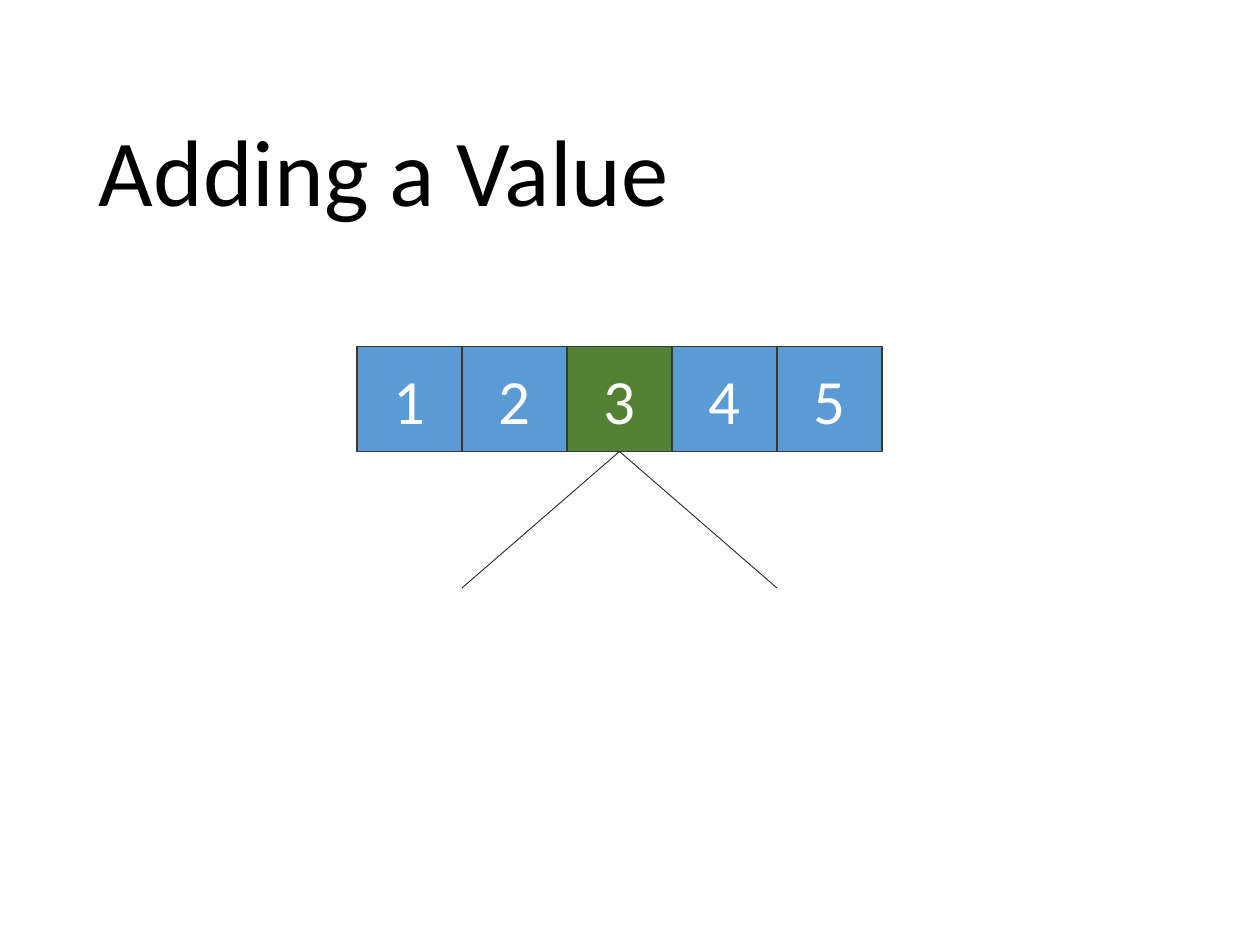
import pptx
import pptx.util
import pptx.dml.color
import pptx.enum.shapes
import pptx.enum.text
import pptx.oxml
import pptx.oxml.ns

Pt = pptx.util.Pt
ALIGN = pptx.enum.text.PP_ALIGN
ANCHOR = pptx.enum.text.MSO_ANCHOR

FONT = "Calibri"
COLORS = {
    "title": "000000",
    "cell": "5B9BD5",
    "middle": "548235",
    "outline": "3B3838",
    "branch": "262626",
    "value": "FFFFFF",
}


def rgb(name):
    return pptx.dml.color.RGBColor.from_string(COLORS[name])


def write_text(shape, text, *, size, color, align=ALIGN.LEFT,
               anchor=ANCHOR.MIDDLE, line_spacing=None):
    frame = shape.text_frame
    frame.word_wrap = True
    frame.vertical_anchor = anchor
    paragraph = frame.paragraphs[0]
    paragraph.alignment = align
    paragraph.line_spacing = line_spacing
    run = paragraph.add_run()
    run.text = text
    run.font.name = FONT
    run.font.size = Pt(size)
    run.font.color.rgb = rgb(color)


def add_title(slide, left, top, width, height):
    box = slide.shapes.add_textbox(Pt(left), Pt(top), Pt(width), Pt(height))
    write_text(box, "Adding a Value", size=54, color="title",
               anchor=ANCHOR.BOTTOM, line_spacing=0.9)


def add_cell(slide, left, top, side, value, fill):
    cell = slide.shapes.add_shape(pptx.enum.shapes.MSO_SHAPE.RECTANGLE,
                                  Pt(left), Pt(top), Pt(side), Pt(side))
    cell.shadow.inherit = False
    cell.fill.solid()
    cell.fill.fore_color.rgb = rgb(fill)
    cell.line.color.rgb = rgb("outline")
    cell.line.width = Pt(1)
    write_text(cell, str(value), size=36, color="value", align=ALIGN.CENTER)
    return cell


def add_node(slide, left, top, width, height, values):
    """Draw a row of square cells and return its middle cell."""
    middle = len(values) // 2
    cells = [
        add_cell(slide, left + index * width / len(values), top, height, value,
                 "middle" if index == middle else "cell")
        for index, value in enumerate(values)
    ]
    return cells[middle]


def add_branches(slide, left, top, width, height, parent):
    """Draw a line from the parent's bottom to each lower corner of the box."""
    for end in (left, left + width):
        branch = slide.shapes.add_connector(
            pptx.enum.shapes.MSO_CONNECTOR.STRAIGHT,
            Pt(left + width / 2), Pt(top), Pt(end), Pt(top + height))
        branch.begin_connect(parent, 2)
        branch.line.color.rgb = rgb("branch")
        branch.line.width = Pt(0.5)
        properties = branch.element.spPr
        properties.append(pptx.oxml.parse_xml(
            "<a:effectLst %s/>" % pptx.oxml.ns.nsdecls("a")))


def main():
    presentation = pptx.Presentation()
    presentation.slide_width = Pt(720)
    presentation.slide_height = Pt(540)
    slide = presentation.slides.add_slide(presentation.slide_layouts[6])
    add_title(slide, 49.5, 28.75, 621, 104.4)
    middle_cell = add_node(slide, 204, 198, 300, 60, range(1, 6))
    add_branches(slide, 264, 258, 180, 78, middle_cell)
    presentation.save("out.pptx")


if __name__ == "__main__":
    main()
